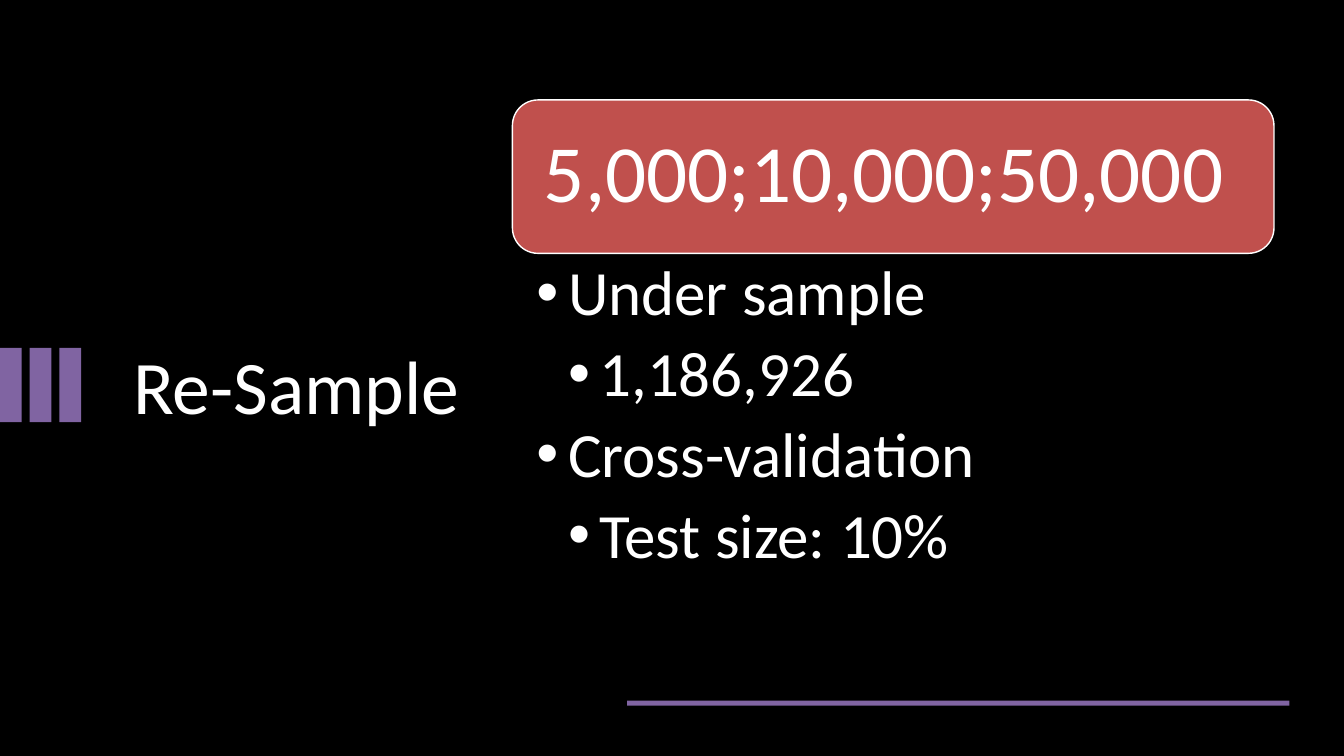
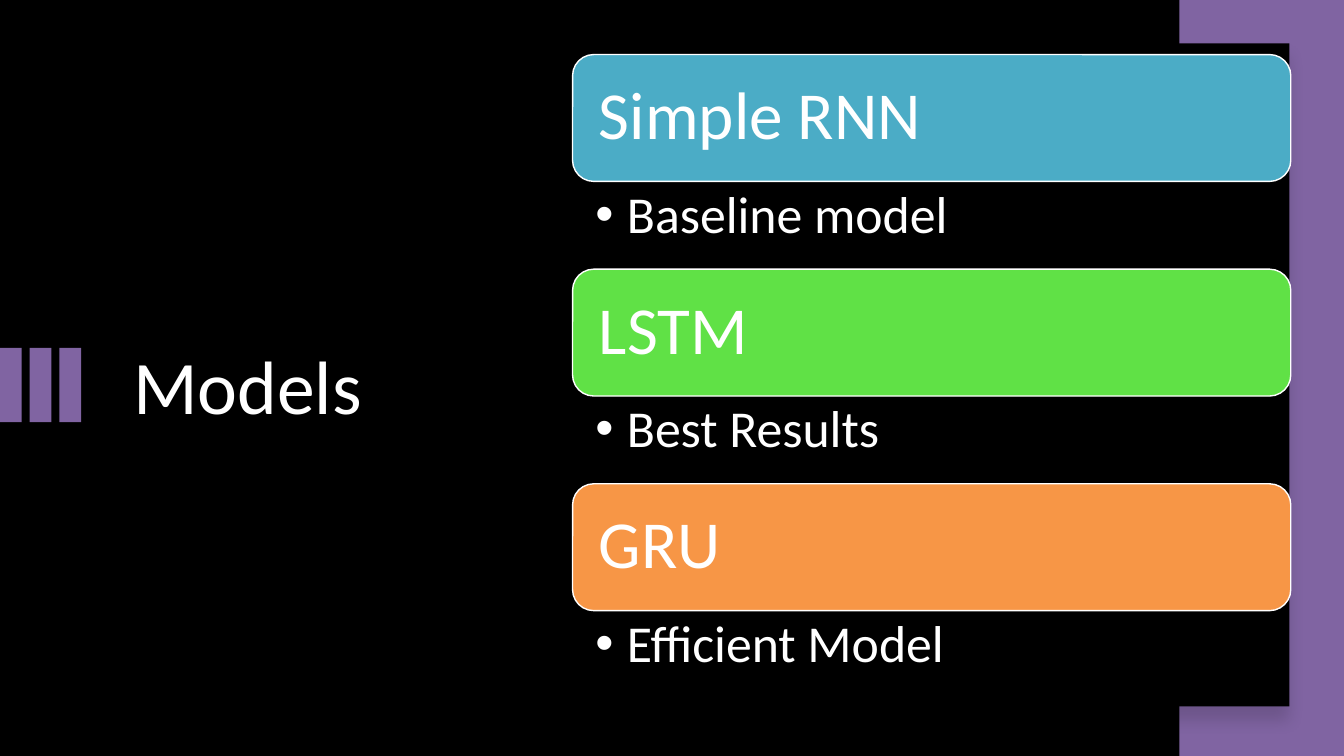
from pptx import Presentation
from pptx.dml.color import RGBColor
from pptx.enum.shapes import MSO_SHAPE
from pptx.enum.text import MSO_ANCHOR, PP_ALIGN
from pptx.oxml import parse_xml
from pptx.oxml.ns import nsdecls
from pptx.util import Pt

FONT = "Calibri"
BLACK = RGBColor(0x00, 0x00, 0x00)
WHITE = RGBColor(0xFF, 0xFF, 0xFF)
PURPLE = RGBColor(0x80, 0x64, 0xA2)
RED = RGBColor(0xC0, 0x50, 0x4D)
TEAL = RGBColor(0x4B, 0xAC, 0xC6)
GREEN = RGBColor(0x60, 0xE1, 0x46)
ORANGE = RGBColor(0xF7, 0x96, 0x46)
WIDE, HIGH = 960, 540
INDENT = 22.5


def block(slide, box, fill, kind=MSO_SHAPE.RECTANGLE):
    shape = slide.shapes.add_shape(kind, *map(Pt, box))
    shape.shadow.inherit = False
    shape.fill.solid()
    shape.fill.fore_color.rgb = fill
    shape.line.fill.background()
    return shape


def set_frame(frame, insets, anchor=MSO_ANCHOR.TOP):
    frame.word_wrap = True
    frame.vertical_anchor = anchor
    left, top, right, bottom = map(Pt, insets)
    frame.margin_left, frame.margin_top = left, top
    frame.margin_right, frame.margin_bottom = right, bottom


def style(para, text, size):
    para.text = text
    para.alignment = PP_ALIGN.LEFT
    para.line_spacing = 0.9
    para.font.size = Pt(size)
    para.font.name = FONT
    para.font.color.rgb = WHITE


def add_bullet(para, level):
    para.level = level
    props = para._p.get_or_add_pPr()
    props.set("marL", str(Pt(INDENT * level)))
    props.set("indent", str(-Pt(INDENT)))
    props.append(parse_xml(f'<a:buFont {nsdecls("a")} typeface="Arial"/>'))
    props.append(parse_xml(f'<a:buChar {nsdecls("a")} char="•"/>'))


def cast_shadow(shape):
    """Give the shape a soft shadow straight below it."""
    effects = parse_xml(
        f'<a:effectLst {nsdecls("a")}>'
        f'<a:outerShdw blurRad="{Pt(11)}" dist="{Pt(10)}" dir="5400000" '
        'algn="t" rotWithShape="0"><a:srgbClr val="000000">'
        '<a:alpha val="15000"/></a:srgbClr></a:outerShdw></a:effectLst>')
    old = shape._element.spPr.find(effects.tag)
    old.getparent().replace(old, effects)


def add_base(deck, title):
    """Add a black slide with the title and the bars at its left."""
    slide = deck.slides.add_slide(deck.slide_layouts[6])
    slide.background.fill.solid()
    slide.background.fill.fore_color.rgb = BLACK
    label = slide.shapes.add_textbox(Pt(88), Pt(246), Pt(317), Pt(188))
    set_frame(label.text_frame, (7.2, 3.6, 7.2, 3.6))
    style(label.text_frame.paragraphs[0], title, 54)
    for i in range(3):
        block(slide, (21.2 * i, 248.4, 15.5, 53.2), PURPLE)
    return slide


def add_topic(slide, box, fill, head, items, sizes, pads):
    """Put a heading bar in the box and (level, text) bullets below it.

    sizes: heading and bullet text; pads: heading, list side, list top.
    """
    left, top, width, height = box
    bar = block(slide, box, fill, MSO_SHAPE.ROUNDED_RECTANGLE)
    bar.line.color.rgb = WHITE
    bar.line.width = Pt(1)
    set_frame(bar.text_frame, (pads[0],) * 4, MSO_ANCHOR.MIDDLE)
    style(bar.text_frame.paragraphs[0], head, sizes[0])

    body = slide.shapes.add_textbox(
        Pt(left), Pt(top + height), Pt(width),
        Pt(1.4 * sizes[1] * len(items) + 2 * pads[2]))
    frame = body.text_frame
    set_frame(frame, (pads[1], pads[2], pads[1], pads[2]))
    for i, (level, text) in enumerate(items):
        para = frame.add_paragraph() if i else frame.paragraphs[0]
        add_bullet(para, level)
        style(para, text, sizes[1])
        para.space_after = Pt(0.2 * sizes[1])


def add_sample(deck):
    slide = add_base(deck, "Re-Sample")
    block(slide, (448, 500.4, 473, 3.6), PURPLE)
    items = [(1, "Under sample"), (2, "1,186,926"),
             (1, "Cross-validation"), (2, "Test size: 10%")]
    add_topic(slide, (366, 71.4, 544, 109.6), RED, "5,000;10,000;50,000",
              items, (58, 45), (17.2, 17.2, 5.8))


def add_models(deck):
    slide = add_base(deck, "Models")
    block(slide, (842.4, 0, WIDE - 842.4, HIGH), PURPLE)
    cast_shadow(block(slide, (448, 31, 473, 473.6), BLACK))
    models = [("Simple RNN", "Baseline model", TEAL),
              ("LSTM", "Best Results", GREEN),
              ("GRU", "Efficient Model", ORANGE)]
    for i, (name, note, fill) in enumerate(models):
        add_topic(slide, (409, 39 + 153.3 * i, 513, 90.6), fill, name,
                  [(1, note)], (48, 37), (14.4, 16.3, 5))


def main():
    deck = Presentation()
    deck.slide_width, deck.slide_height = Pt(WIDE), Pt(HIGH)
    add_sample(deck)
    add_models(deck)
    deck.save("out.pptx")


if __name__ == "__main__":
    main()
